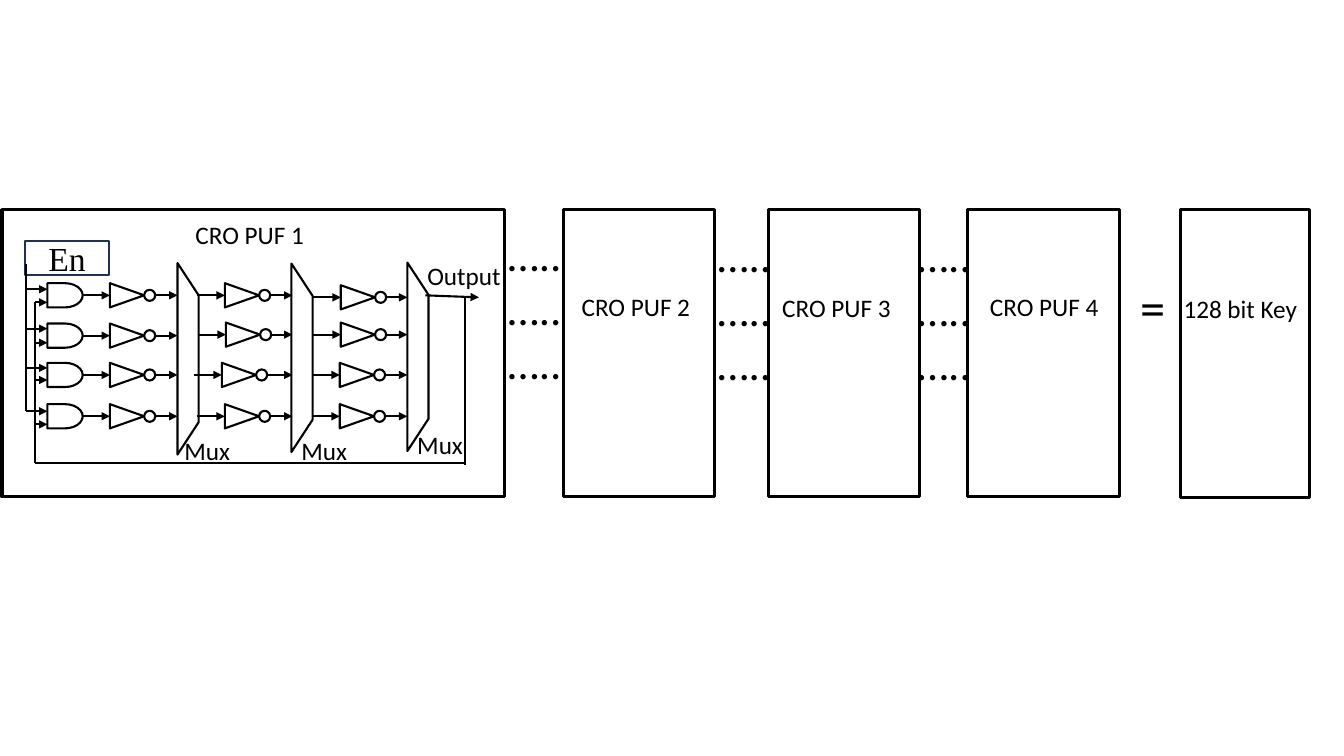
import pptx
import pptx.util
import pptx.dml.color
import pptx.enum.shapes
import pptx.enum.text
import pptx.oxml.ns
import lxml.etree

Inches = pptx.util.Inches
SHAPE = pptx.enum.shapes.MSO_SHAPE
BLACK = pptx.dml.color.RGBColor(0x00, 0x00, 0x00)
WHITE = pptx.dml.color.RGBColor(0xFF, 0xFF, 0xFF)
NAVY = pptx.dml.color.RGBColor(0x1E, 0x32, 0x56)

# Content: left, width, height of each block
BLOCK_TOP = 2.08
BLOCKS = [(0.02, 4.98, 2.85), (5.59, 1.5, 2.85), (7.62, 1.5, 2.85),
          (9.6, 1.5, 2.85), (11.71, 1.28, 2.86)]

# Labels: text, left, top, width, height, size
LABELS = [
    ("CRO PUF 1", 1.84, 2.13, 1.29, 0.4, 18),
    ("Output", 4.14, 2.53, 0.94, 0.4, 18),
    ("CRO PUF 2", 5.67, 2.84, 1.29, 0.4, 18),
    ("CRO PUF 3", 7.66, 2.85, 1.29, 0.4, 18),
    ("CRO PUF 4", 9.72, 2.84, 1.29, 0.4, 18),
    ("=", 11.21, 2.69, 0.64, 0.71, 36),
    ("128 bit Key", 11.64, 2.86, 1.34, 0.4, 18),
    ("Mux", 1.73, 4.27, 0.66, 0.4, 18),
    ("Mux", 2.89, 4.27, 0.66, 0.4, 18),
    ("Mux", 4.04, 4.21, 0.66, 0.4, 18),
]
DOTS = "\n".join(["….."] * 3)
DOT_PLACES = [(4.94, 2.2), (7.02, 2.21), (9.0, 2.21)]

# Circuit: muxes as left, centre height, length
MUX_W = 0.21
MUXES = [(1.76, 3.56, 1.9), (2.89, 3.55, 1.87), (4.04, 3.54, 1.87)]
GATE_ROWS = [2.93, 3.33, 3.72, 4.13]
# Each stage: x where its outputs end, then (triangle left, row height)
STAGES = [
    (1.76, [(1.14, 2.93), (1.14, 3.33), (1.14, 3.72), (1.14, 4.13)]),
    (2.9, [(2.28, 2.93), (2.29, 3.32), (2.25, 3.72), (2.28, 4.13)]),
    (4.04, [(3.43, 2.95), (3.43, 3.32), (3.42, 3.72), (3.42, 4.13)]),
]
GATE_LEFT, GATE_W, GATE_H = 0.47, 0.35, 0.24
ENABLE_X, ENABLE_ROWS = 0.26, [2.87, 3.26, 3.65, 4.08]
FEEDBACK_X, FEEDBACK_ROWS = 0.35, [3.0, 3.4, 3.77, 4.21]
OUTPUT_X, FEEDBACK_Y = 4.61, 4.59

prs = pptx.Presentation()
prs.slide_width, prs.slide_height = Inches(13.33), Inches(7.5)
s = prs.slides.add_slide(prs.slide_layouts[6])


def write(tf, text, size=18, font="Calibri", align=None):
    for i, line in enumerate(text.split("\n")):
        p = tf.paragraphs[0] if i == 0 else tf.add_paragraph()
        p.alignment = align
        r = p.add_run()
        r.text = line
        r.font.size = pptx.util.Pt(size)
        r.font.name = font
        r.font.color.rgb = BLACK


def label(text, x, y, w, h, size):
    tf = s.shapes.add_textbox(Inches(x), Inches(y), Inches(w), Inches(h)).text_frame
    tf.word_wrap = False
    tf.auto_size = pptx.enum.text.MSO_AUTO_SIZE.SHAPE_TO_FIT_TEXT
    write(tf, text, size=size)


def shape(kind, x, y, w, h, fill=WHITE, line=BLACK, weight=1.5):
    sp = s.shapes.add_shape(kind, Inches(x), Inches(y), Inches(w), Inches(h))
    sp.shadow.inherit = False
    if fill is None:
        sp.fill.background()
    else:
        sp.fill.solid()
        sp.fill.fore_color.rgb = fill
    sp.line.color.rgb = line
    sp.line.width = pptx.util.Pt(weight)
    return sp


def wire(x1, y1, x2, y2, arrow=True):
    c = s.shapes.add_connector(pptx.enum.shapes.MSO_CONNECTOR.STRAIGHT,
                               Inches(x1), Inches(y1), Inches(x2), Inches(y2))
    c.line.color.rgb = BLACK
    c.line.width = pptx.util.Pt(1.5)
    qn = pptx.oxml.ns.qn
    if arrow:
        lxml.etree.SubElement(c.line._get_or_add_ln(), qn("a:tailEnd"), type="triangle")
    lxml.etree.SubElement(c._element.spPr, qn("a:effectLst"))


# Enable box
en = shape(SHAPE.RECTANGLE, 0.25, 2.39, 0.83, 0.34, line=NAVY)
en.text_frame.vertical_anchor = pptx.enum.text.MSO_ANCHOR.MIDDLE
write(en.text_frame, "En", size=24, font="Times New Roman",
      align=pptx.enum.text.PP_ALIGN.CENTER)

# Multiplexers, turned so that the short side faces right
for x, mid, length in MUXES:
    mux = shape(SHAPE.TRAPEZOID, x + MUX_W / 2 - length / 2, mid - MUX_W / 2, length, MUX_W)
    mux.rotation = 90
    mux.adjustments[0] = 1.526

# AND gates
for y in GATE_ROWS:
    shape(SHAPE.FLOWCHART_DELAY, GATE_LEFT, y - GATE_H / 2, GATE_W, GATE_H)

# Inverters with their input and output wires
for end_x, cells in STAGES:
    for x, y in cells:
        shape(SHAPE.ISOSCELES_TRIANGLE, x, y - 0.17, 0.24, 0.34).rotation = 90
        shape(SHAPE.OVAL, x + 0.29, y - 0.055, 0.11, 0.11)
        wire(x - 0.33, y, x - 0.05, y)
        wire(x + 0.4, y, end_x, y)

# Enable and feedback buses
wire(ENABLE_X, 2.62, ENABLE_X, ENABLE_ROWS[-1], arrow=False)
wire(FEEDBACK_X, FEEDBACK_ROWS[0], FEEDBACK_X, FEEDBACK_Y, arrow=False)
for bus_x, rows in [(ENABLE_X, ENABLE_ROWS), (FEEDBACK_X, FEEDBACK_ROWS)]:
    for y in rows:
        wire(bus_x, y, GATE_LEFT, y)
wire(FEEDBACK_X, FEEDBACK_Y, OUTPUT_X, FEEDBACK_Y, arrow=False)
wire(OUTPUT_X, 2.94, OUTPUT_X, 4.61, arrow=False)
wire(4.22, 2.93, 4.75, 2.95)

# Blocks and labels
for x, w, h in BLOCKS:
    shape(SHAPE.RECTANGLE, x, BLOCK_TOP, w, h, fill=None, weight=2.25)
for item in LABELS:
    label(*item)
for x, y in DOT_PLACES:
    label(DOTS, x, y, 0.74, 1.72, 32)

prs.save("out.pptx")
